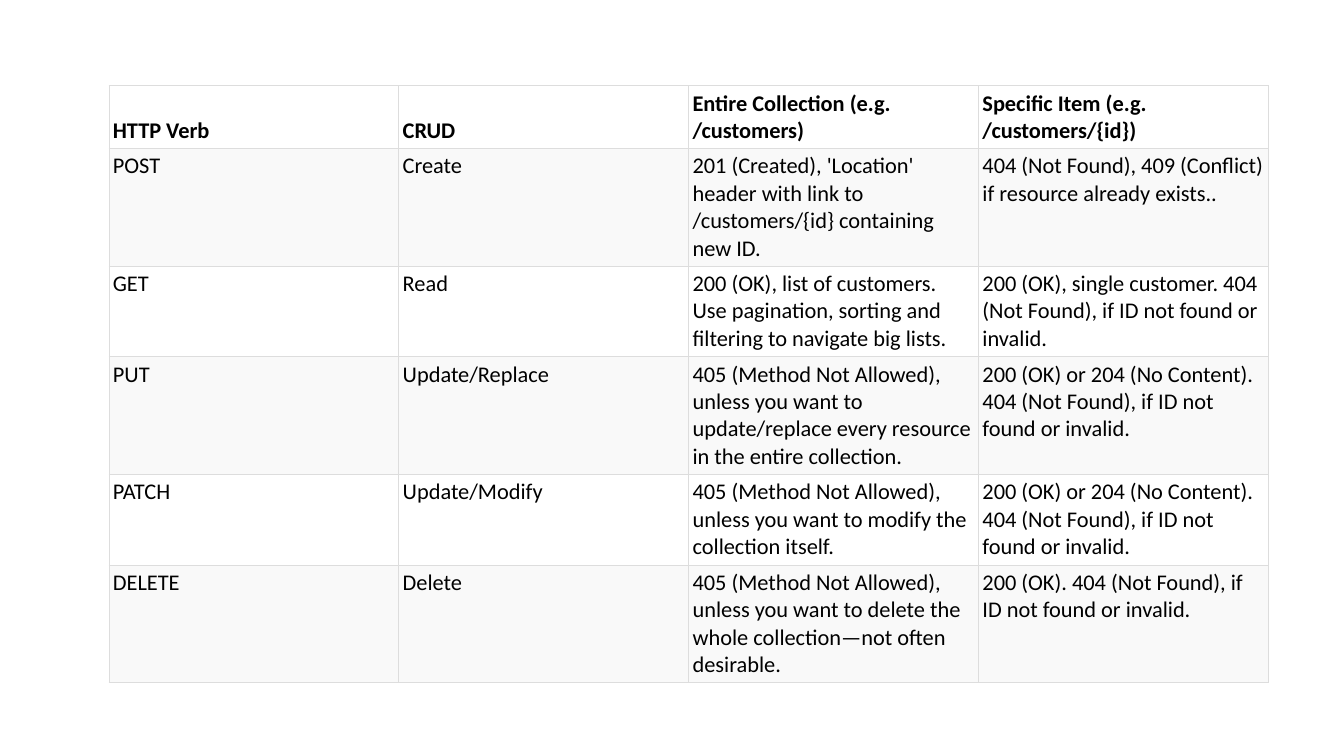
import pptx
import pptx.dml.color
import pptx.enum.text
import pptx.oxml.ns
import pptx.util
from lxml import etree

PX = 9144
FONT = "Calibri"
TEXT = "000000"
BORDER = "DDDDDD"
ROW_FILLS = ("FFFFFF", "F9F9F9")
INSET = 4

ROW_HEIGHTS = [62, 116, 90, 116, 90, 116]
RESPONSES = [
    ("HTTP Verb", "CRUD", "Entire Collection (e.g. /customers)",
     "Specific Item (e.g. /customers/{id})"),
    ("POST", "Create",
     "201 (Created), 'Location' header with link to /customers/{id} containing new ID.",
     "404 (Not Found), 409 (Conflict) if resource already exists.."),
    ("GET", "Read",
     "200 (OK), list of customers. Use pagination, sorting and filtering to navigate big lists.",
     "200 (OK), single customer. 404 (Not Found), if ID not found or invalid."),
    ("PUT", "Update/Replace",
     "405 (Method Not Allowed), unless you want to update/replace every resource "
     "in the entire collection.",
     "200 (OK) or 204 (No Content). 404 (Not Found), if ID not found or invalid."),
    ("PATCH", "Update/Modify",
     "405 (Method Not Allowed), unless you want to modify the collection itself.",
     "200 (OK) or 204 (No Content). 404 (Not Found), if ID not found or invalid."),
    ("DELETE", "Delete",
     "405 (Method Not Allowed), unless you want to delete the whole collection—not often "
     "desirable.",
     "200 (OK). 404 (Not Found), if ID not found or invalid."),
]


def px(n):
    return pptx.util.Emu(round(n * PX))


def color(value):
    return pptx.dml.color.RGBColor.from_string(value)


def add_borders(cell, value, width):
    qn = pptx.oxml.ns.qn
    tc_pr = cell._tc.get_or_add_tcPr()
    for side in ("a:lnL", "a:lnR", "a:lnT", "a:lnB"):
        ln = etree.SubElement(tc_pr, qn(side), w=str(pptx.util.Pt(width)))
        fill = etree.SubElement(ln, qn("a:solidFill"))
        etree.SubElement(fill, qn("a:srgbClr"), val=value)


def fill_cell(cell, text, fill, header):
    add_borders(cell, BORDER, 0.6)
    cell.fill.solid()
    cell.fill.fore_color.rgb = color(fill)
    cell.margin_left = cell.margin_right = px(INSET)
    cell.margin_top = cell.margin_bottom = px(INSET)
    anchor = pptx.enum.text.MSO_ANCHOR
    cell.vertical_anchor = anchor.BOTTOM if header else anchor.TOP
    r = cell.text_frame.paragraphs[0].add_run()
    r.text = text
    r.font.name = FONT
    r.font.size = pptx.util.Pt(16)
    r.font.bold = header
    r.font.color.rgb = color(TEXT)


def add_response_table(s, left, top, width):
    frame = s.shapes.add_table(len(RESPONSES), len(RESPONSES[0]), px(left), px(top),
                               px(width), px(sum(ROW_HEIGHTS)))
    table = frame.table
    table.horz_banding = False
    for i, (height, texts) in enumerate(zip(ROW_HEIGHTS, RESPONSES)):
        table.rows[i].height = px(height)
        for j, text in enumerate(texts):
            fill_cell(table.cell(i, j), text, ROW_FILLS[i % 2], i == 0)


def main():
    prs = pptx.Presentation()
    prs.slide_width, prs.slide_height = px(1333), px(750)
    s = prs.slides.add_slide(prs.slide_layouts[6])
    add_response_table(s, 108, 85, 1150)
    prs.save("out.pptx")


if __name__ == "__main__":
    main()
